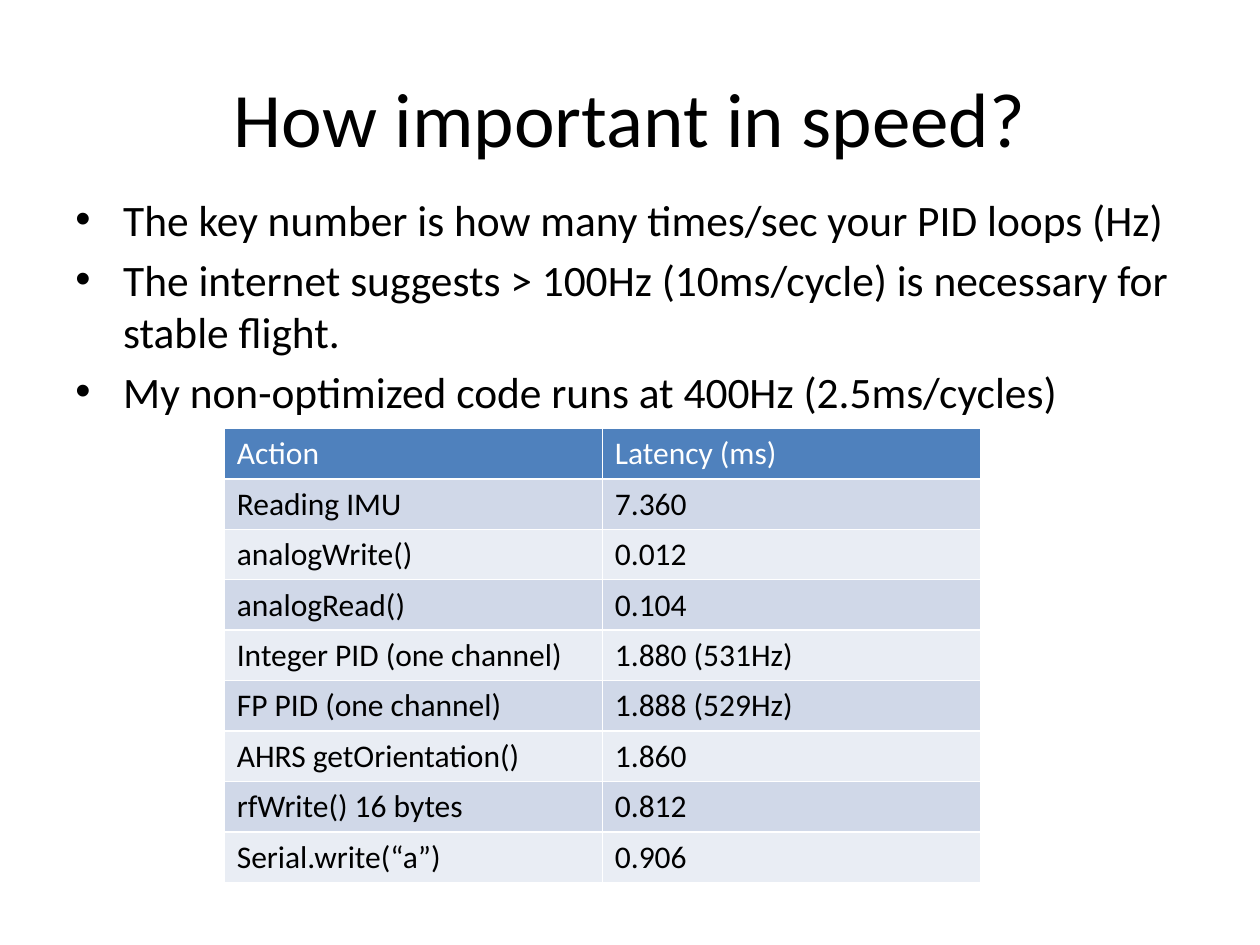
"""Build the slide on how loop speed matters for stable flight."""
import pptx
import pptx.dml.color
import pptx.enum.text
import pptx.oxml
import pptx.oxml.ns
import pptx.util


def color(value):
    return pptx.dml.color.RGBColor.from_string(value)


def style(font, size, ink):
    settings = {"name": "Calibri", "size": pptx.util.Pt(size), "bold": False}
    for key, value in settings.items():
        setattr(font, key, value)
    font.color.rgb = color(ink)


deck = pptx.Presentation()
deck.slide_width = pptx.util.Inches(10)
deck.slide_height = pptx.util.Inches(7.5)
column = deck.slide_width // 100
row = deck.slide_height // 75
slide = deck.slides.add_slide(deck.slide_layouts[6])

heading = slide.shapes.add_textbox(5 * column, 3 * row, 90 * column, int(12.5 * row)).text_frame
heading_format = {"word_wrap": True, "vertical_anchor": pptx.enum.text.MSO_ANCHOR.MIDDLE}
for key, value in heading_format.items():
    setattr(heading, key, value)
heading.text = "How important in speed?"
heading.paragraphs[0].alignment = pptx.enum.text.PP_ALIGN.CENTER
style(heading.paragraphs[0].runs[0].font, 44, "000000")

points = [
    "The key number is how many times/sec your PID loops (Hz)",
    "The internet suggests > 100Hz (10ms/cycle) is necessary for stable flight.",
    "My non-optimized code runs at 400Hz (2.5ms/cycles)",
]
body = slide.shapes.add_textbox(5 * column, int(14.8 * row), 90 * column, int(18.9 * row)).text_frame
body.word_wrap = True
body.text = "\n".join(points)
indent = int(3.8 * column)
for index, point in enumerate(body.paragraphs):
    properties = point._p.get_or_add_pPr()
    properties.set("marL", str(indent))
    properties.set("indent", str(-indent))
    for tag, attribute, value in (("buFont", "typeface", "Arial"), ("buChar", "char", "•")):
        bullet = pptx.oxml.parse_xml(f'<a:{tag} {pptx.oxml.ns.nsdecls("a")}/>')
        bullet.set(attribute, value)
        properties.append(bullet)
    point.space_before = pptx.util.Pt(4.5 if index else 0)
    style(point.font, 24.8, "000000")
    style(point.runs[0].font, 24.8, "000000")

timings = [
    ("Action", "Latency (ms)"),
    ("Reading IMU", "7.360"),
    ("analogWrite()", "0.012"),
    ("analogRead()", "0.104"),
    ("Integer PID (one channel)", "1.880 (531Hz)"),
    ("FP PID (one channel)", "1.888 (529Hz)"),
    ("AHRS getOrientation()", "1.860"),
    ("rfWrite() 16 bytes", "0.812"),
    ("Serial.write(“a”)", "0.906"),
]
latency = slide.shapes.add_table(
    len(timings), 2, int(17.8 * column), 34 * row, 60 * column, 4 * row * len(timings)
).table
bands = ["E9EDF4", "D0D8E8"]
for line, timing in enumerate(timings):
    for cell, entry in zip(latency.rows[line].cells, timing):
        cell.text = entry
        cell.fill.solid()
        cell.fill.fore_color.rgb = color(bands[line % 2] if line else "4F81BD")
        style(cell.text_frame.paragraphs[0].runs[0].font, 18, "000000" if line else "FFFFFF")

deck.save("out.pptx")
